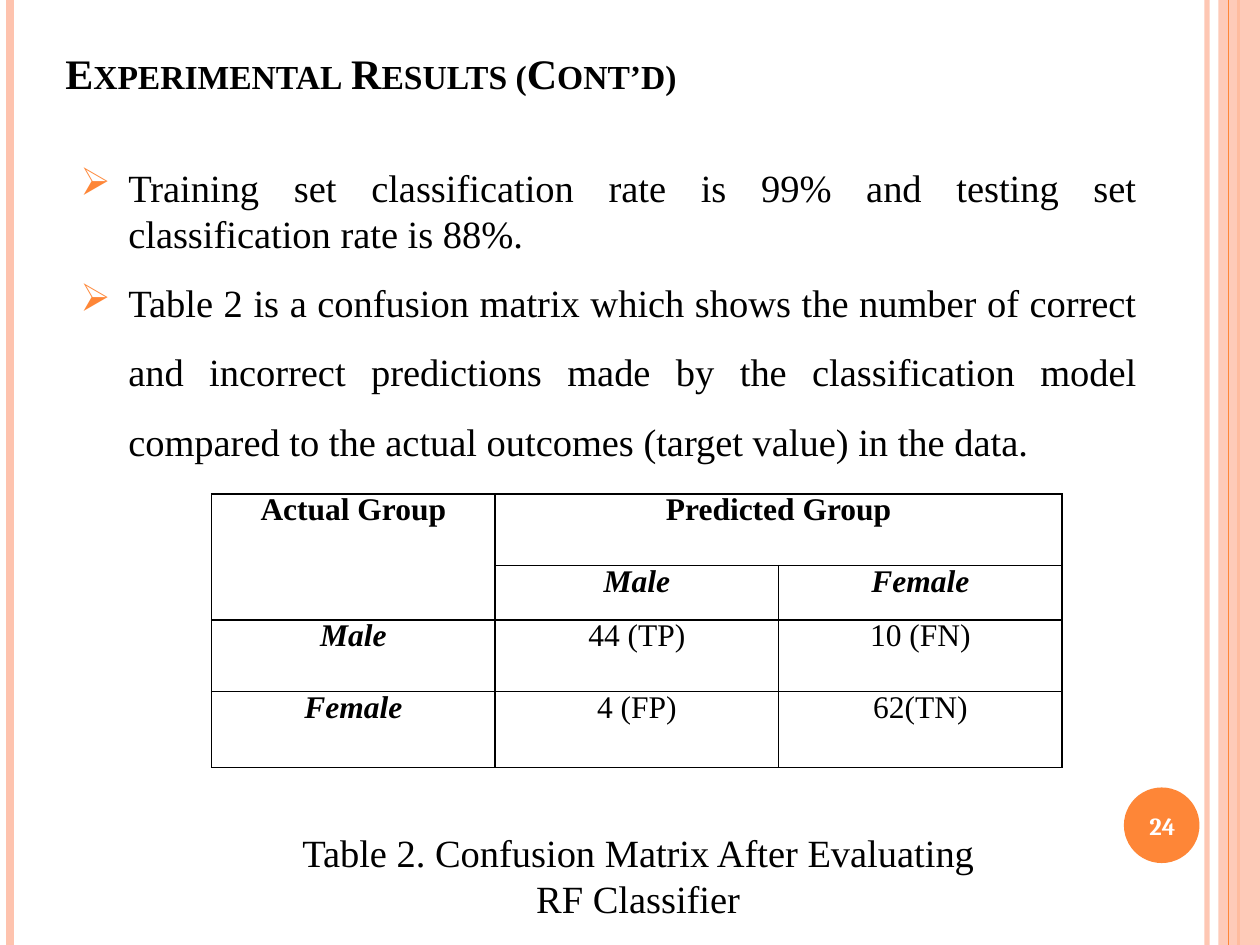
import pptx
import pptx.dml.color
import pptx.enum.shapes
import pptx.enum.text
import pptx.oxml
import pptx.oxml.ns
import pptx.util
from dataclasses import dataclass

Inches, Pt = pptx.util.Inches, pptx.util.Pt
ALIGN = pptx.enum.text.PP_ALIGN
ANCHOR = pptx.enum.text.MSO_ANCHOR
SHAPE = pptx.enum.shapes.MSO_SHAPE


@dataclass(frozen=True)
class Theme:
    accent: str = "FE8637"
    pale: str = "FEC3AE"
    ink: str = "000000"
    white: str = "FFFFFF"
    font: str = "Times New Roman"
    number_font: str = "Cambria"
    title: int = 24
    body: int = 22
    cell: int = 18
    number: int = 14


T = Theme()
WIDTH, HEIGHT = 10, 7.5
TITLE = "Experimental Results (Cont’d)"
BULLETS = [  # text, line spacing
    ("Training set classification rate is 99% and testing set classification rate is 88%.", 1.0),
    ("Table 2 is a confusion matrix which shows the number of correct and incorrect "
     "predictions made by the classification model compared to the actual outcomes "
     "(target value) in the data.", 1.5),
]
CAPTION = "Table 2. Confusion Matrix After Evaluating RF Classifier"
PAGE = "24"
MATRIX = [
    ["Actual Group", "Predicted Group", None],
    [None, "Male", "Female"],
    ["Male", "44 (TP)", "10 (FN)"],
    ["Female", "4 (FP)", "62(TN)"],
]
MERGES = [((0, 0), (1, 0)), ((0, 1), (0, 2))]
ROW_HEIGHTS = [0.57, 0.43, 0.57, 0.6]
COL_WIDTH = 2.25
RULES = [  # x, colour, points, opacity in percent
    (9.58, T.pale, 3, 93),
    (0.08, T.pale, 4.5, 100),
    (9.83, T.accent, 1.5, 100),
]
BAND_RULE = (9.75, T.accent, 0.75, 100)


def rgb(value):
    return pptx.dml.color.RGBColor.from_string(value)


def xml(markup):
    """Parse one element whose first tag is in the a: namespace."""
    head, tail = markup.split(">", 1) if "/>" not in markup.split(">", 1)[0] + ">" \
        else (markup[:-2], None)
    ns = pptx.oxml.ns.nsdecls("a")
    return pptx.oxml.parse_xml(f"{head} {ns}/>" if tail is None else f"{head} {ns}>{tail}")


def set_opacity(parent, percent):
    if percent < 100:
        color = next(parent.iter(pptx.oxml.ns.qn("a:srgbClr")))
        color.append(xml(f'<a:alpha val="{percent * 1000}"/>'))


def add_rule(slide, x, color, points, opacity):
    line = slide.shapes.add_connector(pptx.enum.shapes.MSO_CONNECTOR.STRAIGHT,
                                      Inches(x), 0, Inches(x), Inches(HEIGHT))
    line.line.color.rgb = rgb(color)
    line.line.width = Pt(points)
    sp_pr = line._element.spPr
    set_opacity(sp_pr, opacity)
    sp_pr.append(xml("<a:effectLst/>"))


def add_block(slide, kind, box, color, opacity=100):
    sp = slide.shapes.add_shape(kind, *map(Inches, box))
    sp.shadow.inherit = False
    sp.fill.solid()
    sp.fill.fore_color.rgb = rgb(color)
    sp.line.fill.background()
    set_opacity(sp._element.spPr, opacity)


def add_run(p, text, size, color=T.ink, font=T.font, bold=False, italic=False):
    r = p.add_run()
    r.text = text
    r.font.size, r.font.name = Pt(size), font
    r.font.bold, r.font.italic = bold, italic
    r.font.color.rgb = rgb(color)
    return r


def add_frame(slide, box, anchor=ANCHOR.TOP):
    tf = slide.shapes.add_textbox(*map(Inches, box)).text_frame
    tf.word_wrap = True
    tf.vertical_anchor = anchor
    return tf


def add_bullets(slide, box):
    tf = add_frame(slide, box)
    for i, (text, spacing) in enumerate(BULLETS):
        p = tf.paragraphs[0] if i == 0 else tf.add_paragraph()
        p.alignment, p.line_spacing = ALIGN.JUSTIFY, spacing
        p_pr = p._p.get_or_add_pPr()
        p_pr.set("marL", str(Inches(0.38)))
        p_pr.set("indent", str(-Inches(0.38)))
        p_pr.append(xml(f'<a:buClr><a:srgbClr val="{T.accent}"/></a:buClr>'))
        p_pr.append(xml('<a:buChar char="➢"/>'))
        add_run(p, text, T.body)


def style_cell(cell):
    cell.margin_left = cell.margin_right = Inches(0.07)
    cell.margin_top = cell.margin_bottom = 0
    tc_pr = cell._tc.get_or_add_tcPr()
    for side in "LRTB":
        tc_pr.append(xml(f'<a:ln{side} w="{Pt(1)}"><a:solidFill>'
                         f'<a:srgbClr val="{T.ink}"/></a:solidFill></a:ln{side}>'))
    cell.fill.background()


def add_matrix(slide, left, top):
    rows, cols = len(MATRIX), len(MATRIX[0])
    table = slide.shapes.add_table(rows, cols, Inches(left), Inches(top),
                                   Inches(cols * COL_WIDTH), Inches(sum(ROW_HEIGHTS))).table
    table.first_row = table.horz_banding = False
    for column in table.columns:
        column.width = Inches(COL_WIDTH)
    for row, height in zip(table.rows, ROW_HEIGHTS):
        row.height = Inches(height)
    for start, end in MERGES:
        table.cell(*start).merge(table.cell(*end))
    for i, values in enumerate(MATRIX):
        for j, text in enumerate(values):
            cell = table.cell(i, j)
            style_cell(cell)
            if text is None:
                continue
            p = cell.text_frame.paragraphs[0]
            p.alignment, p.line_spacing, p.space_after = ALIGN.CENTER, 0.95, Pt(6)
            is_label = i < 2 or j == 0
            add_run(p, text, T.cell, bold=is_label, italic=is_label and i > 0)


def main():
    prs = pptx.Presentation()
    prs.slide_width, prs.slide_height = Inches(WIDTH), Inches(HEIGHT)
    slide = prs.slides.add_slide(prs.slide_layouts[6])

    for rule in RULES:
        add_rule(slide, *rule)
    add_block(slide, SHAPE.RECTANGLE, (9.67, 0, 0.33, HEIGHT), T.pale, 87)
    add_rule(slide, *BAND_RULE)
    add_block(slide, SHAPE.OVAL, (8.92, 6.25, 0.6, 0.6), T.accent)

    p = add_frame(slide, (0.42, 0, 8.17, 0.83), ANCHOR.BOTTOM).paragraphs[0]
    r = add_run(p, TITLE, T.title, bold=True)
    r.font._element.set("cap", "small")

    p = add_frame(slide, (8.89, 6.27, 0.67, 0.57), ANCHOR.MIDDLE).paragraphs[0]
    p.alignment = ALIGN.CENTER
    add_run(p, PAGE, T.number, T.white, T.number_font, bold=True)

    add_bullets(slide, (0.54, 1.25, 8.58, 2.88))

    p = add_frame(slide, (2.23, 6.53, 5.67, 0.84)).paragraphs[0]
    p.alignment = ALIGN.CENTER
    add_run(p, CAPTION, T.body)

    add_matrix(slide, 1.68, 3.92)
    prs.save("out.pptx")


if __name__ == "__main__":
    main()
